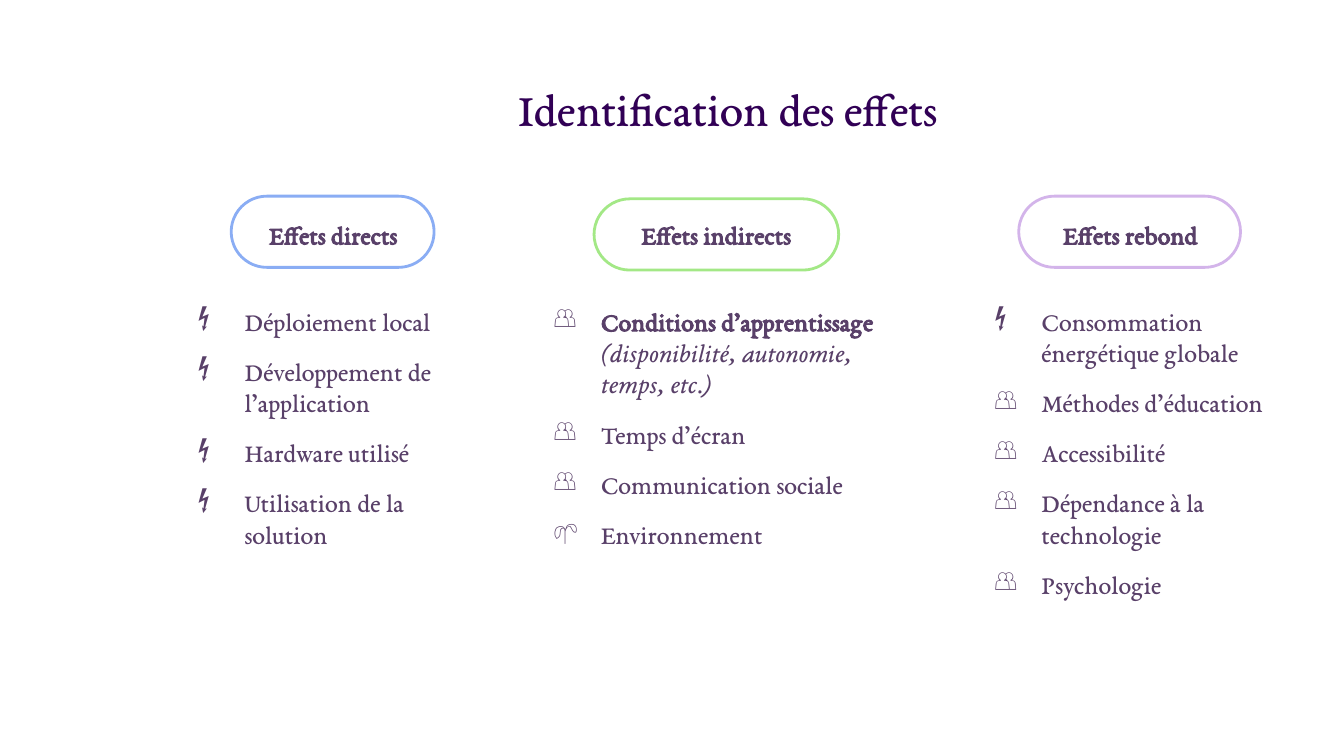
from dataclasses import dataclass

from lxml.etree import SubElement
from pptx import Presentation
from pptx.dml.color import RGBColor
from pptx.enum.shapes import MSO_SHAPE as Preset
from pptx.enum.text import MSO_ANCHOR as Anchor, MSO_AUTO_SIZE as AutoSize, PP_ALIGN as Align
from pptx.oxml.ns import qn
from pptx.util import Inches, Pt

TITLE_COLOR = RGBColor(0x31, 0x00, 0x55)
TEXT_COLOR = RGBColor(0x59, 0x40, 0x69)
BLUE = RGBColor(0x8A, 0xAD, 0xF4)
GREEN = RGBColor(0xA3, 0xE8, 0x86)
PURPLE = RGBColor(0xD3, 0xB4, 0xEA)
FONT = "EB Garamond"
ENERGY, PEOPLE, NATURE = "⚡", "👥", "🌱"


@dataclass
class Item:
    bullet: str
    text: str
    lead: str = ""  # bold words before an italic remark


@dataclass
class Frame:
    left: float
    top: float
    width: float
    height: float


@dataclass
class Column:
    heading: str
    heading_left: float
    pill: Frame
    color: RGBColor
    list_frame: Frame
    items: list[Item]


COLUMNS = [
    Column("Effets directs", 1.22, Frame(1.72, 1.46, 1.51, 0.53), BLUE,
           Frame(1.22, 2.17, 2.52, 2.04), [
               Item(ENERGY, "Déploiement local"),
               Item(ENERGY, "Développement de l’application"),
               Item(ENERGY, "Hardware utilisé"),
               Item(ENERGY, "Utilisation de la solution"),
           ]),
    Column("Effets indirects", 4.07, Frame(4.42, 1.48, 1.82, 0.53), GREEN,
           Frame(3.87, 2.17, 2.92, 2.04), [
               Item(PEOPLE, "(disponibilité, autonomie, temps, etc.)",
                    "Conditions d’apprentissage "),
               Item(PEOPLE, "Temps d’écran"),
               Item(PEOPLE, "Communication sociale"),
               Item(NATURE, "Environnement"),
           ]),
    Column("Effets rebond", 7.15, Frame(7.58, 1.46, 1.65, 0.53), PURPLE,
           Frame(7.15, 2.17, 2.52, 2.41), [
               Item(ENERGY, "Consommation énergétique globale"),
               Item(PEOPLE, "Méthodes d’éducation"),
               Item(PEOPLE, "Accessibilité"),
               Item(PEOPLE, "Dépendance à la technologie"),
               Item(PEOPLE, "Psychologie"),
           ]),
]


def place(box, frame: Frame) -> None:
    """Position a text box or placeholder and prepare its text frame."""
    box.left, box.top = Inches(frame.left), Inches(frame.top)
    box.width, box.height = Inches(frame.width), Inches(frame.height)
    text = box.text_frame
    text.word_wrap = True
    text.auto_size = AutoSize.NONE
    text.vertical_anchor = Anchor.TOP
    text.margin_left = text.margin_right = Inches(0.1)
    text.margin_top = text.margin_bottom = Inches(0.1)


def add_span(para, text: str, size: float = 14, color: RGBColor = TEXT_COLOR,
             bold: bool = False, italic: bool = False) -> None:
    span = para.add_run()
    span.text = text
    font = span.font
    font.name, font.size = FONT, Pt(size)
    font.bold, font.italic = bold, italic
    font.color.rgb = color


def add_bullet(para, symbol: str) -> None:
    properties = para._p.get_or_add_pPr()
    properties.set("marL", str(Inches(0.5)))
    properties.set("indent", str(Inches(-0.35)))
    color = SubElement(properties, qn("a:buClr"))
    SubElement(color, qn("a:srgbClr"), val=str(TEXT_COLOR))
    SubElement(properties, qn("a:buFont"), typeface=FONT)
    SubElement(properties, qn("a:buChar"), char=symbol)


def fill_heading(box, column: Column) -> None:
    place(box, Frame(column.heading_left, 1.49, 2.52, 0.5))
    para = box.text_frame.paragraphs[0]
    para.alignment = Align.CENTER
    para.line_spacing = 1.15
    para.space_before, para.space_after = Pt(0), Pt(12)
    add_span(para, column.heading, bold=True)


def fill_list(box, column: Column) -> None:
    place(box, column.list_frame)
    text = box.text_frame
    for index, item in enumerate(column.items):
        para = text.add_paragraph() if index else text.paragraphs[0]
        add_bullet(para, item.bullet)
        para.alignment = Align.LEFT
        para.line_spacing = 1.0
        para.space_before = Pt(10 if index else 0)
        if item.lead:
            add_span(para, item.lead, bold=True)
        add_span(para, item.text, italic=bool(item.lead))
    text.paragraphs[-1].space_after = Pt(10)


def draw_pill(page, column: Column) -> None:
    frame = column.pill
    pill = page.shapes.add_shape(
        Preset.ROUNDED_RECTANGLE, Inches(frame.left), Inches(frame.top),
        Inches(frame.width), Inches(frame.height))
    pill.adjustments[0] = 0.5
    pill.shadow.inherit = False
    pill.fill.background()
    pill.line.color.rgb = column.color
    pill.line.width = Pt(1.5)


def main() -> None:
    deck = Presentation()
    deck.slide_width = Inches(10)
    deck.slide_height = deck.slide_width * 9 // 16
    page = deck.slides.add_slide(deck.slide_layouts.get_by_name("Comparison"))

    title = page.shapes.title
    place(title, Frame(0.76, 0.49, 9.32, 0.63))
    para = title.text_frame.paragraphs[0]
    para.alignment = Align.CENTER
    add_span(para, "Identification des effets", 25.2, TITLE_COLOR)

    # The layout holds two heading and list pairs; the third column adds its own.
    boxes = [page.placeholders[number] for number in (1, 2, 3, 4)]
    boxes += [page.shapes.add_textbox(0, 0, 0, 0) for _ in range(2)]
    for column, heading, bullets in zip(COLUMNS, boxes[::2], boxes[1::2]):
        fill_heading(heading, column)
        fill_list(bullets, column)
        draw_pill(page, column)

    deck.save("out.pptx")


if __name__ == "__main__":
    main()
